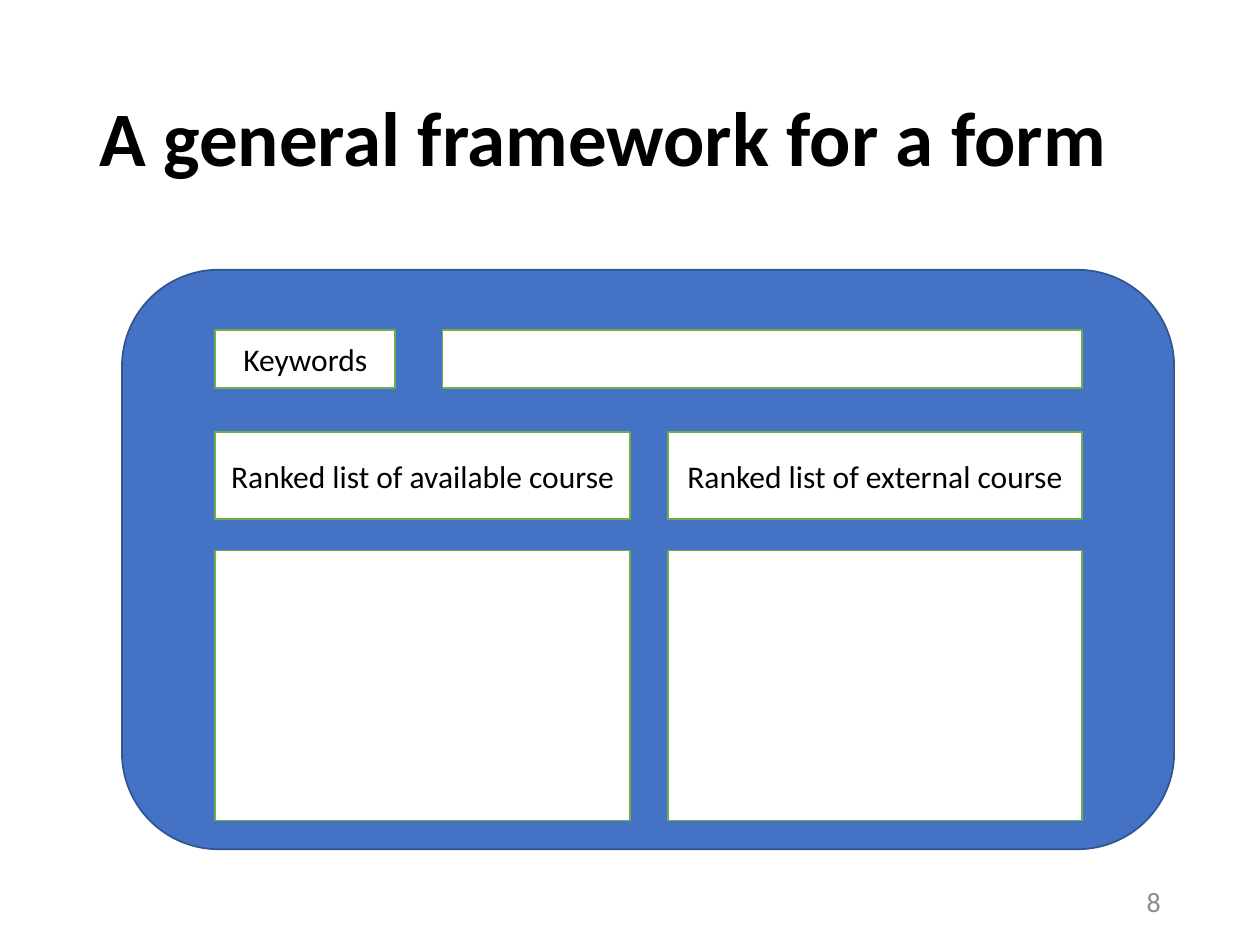
from pptx import Presentation
from pptx.dml.color import RGBColor
from pptx.enum.shapes import MSO_SHAPE
from pptx.enum.text import MSO_ANCHOR, MSO_AUTO_SIZE, PP_ALIGN
from pptx.util import Cm, Pt

RECTANGLE, ROUNDED = MSO_SHAPE.RECTANGLE, MSO_SHAPE.ROUNDED_RECTANGLE
MIDDLE = MSO_ANCHOR.MIDDLE
LEFT, CENTER, RIGHT = PP_ALIGN.LEFT, PP_ALIGN.CENTER, PP_ALIGN.RIGHT
NO_AUTOFIT = MSO_AUTO_SIZE.NONE
TITLE_ONLY = 5

FONT = "Calibri"
BLACK, WHITE, GREY = "000000", "FFFFFF", "8C8C8C"
BLUE, DARK_BLUE, GREEN = "4472C4", "325491", "70AD47"

# Form grid, in centimetres
FORM_LEFT, FORM_RIGHT = 4.34, 21.82
COLUMN_WIDTH = 8.36
COLUMNS = (FORM_LEFT, FORM_RIGHT - COLUMN_WIDTH)
KEYWORD_TOP, KEYWORD_HEIGHT, LABEL_WIDTH = 6.65, 1.17, 3.63
FIELD_LEFT = 8.92
HEADING_TOP, HEADING_HEIGHT = 8.71, 1.75
LIST_TOP, LIST_HEIGHT = 11.1, 5.44


def color(code):
    return RGBColor.from_string(code)


def write(box, text, size, code=BLACK, align=CENTER, bold=False):
    frame = box.text_frame
    frame.word_wrap = True
    frame.auto_size = NO_AUTOFIT
    frame.vertical_anchor = MIDDLE
    para = frame.paragraphs[0]
    para.alignment = align
    span = para.add_run()
    span.text = text
    span.font.name = FONT
    span.font.size = Pt(size)
    span.font.bold = bold
    span.font.color.rgb = color(code)
    return para


def add_title(page, text):
    title = page.shapes.title
    title.left, title.top = Cm(1.75), Cm(1.02)
    title.width, title.height = Cm(21.89), Cm(3.68)
    write(title, text, 44, align=LEFT, bold=True).line_spacing = 0.9


def add_page_number(page, text):
    box = page.shapes.add_textbox(Cm(17.93), Cm(17.65), Cm(5.72), Cm(1.02))
    write(box, text, 16, GREY, RIGHT)


def add_box(page, left, top, width, height, text="",
            kind=RECTANGLE, fill=WHITE, line=GREEN):
    box = page.shapes.add_shape(kind, Cm(left), Cm(top), Cm(width), Cm(height))
    box.shadow.inherit = False
    box.fill.solid()
    box.fill.fore_color.rgb = color(fill)
    box.line.color.rgb = color(line)
    box.line.width = Pt(1)
    if text:
        write(box, text, 18)


def main():
    deck = Presentation()
    deck.slide_width, deck.slide_height = Cm(25.4), Cm(19.05)
    page = deck.slides.add_slide(deck.slide_layouts[TITLE_ONLY])

    add_title(page, "A general framework for a form")
    add_page_number(page, "8")

    # Form panel
    add_box(page, 2.46, 5.44, 21.21, 11.68,
            kind=ROUNDED, fill=BLUE, line=DARK_BLUE)

    # Keyword label and its entry field
    add_box(page, FORM_LEFT, KEYWORD_TOP, LABEL_WIDTH, KEYWORD_HEIGHT, "Keywords")
    add_box(page, FIELD_LEFT, KEYWORD_TOP, FORM_RIGHT - FIELD_LEFT, KEYWORD_HEIGHT)

    # Two result columns: a heading above an empty list
    for left, source in zip(COLUMNS, ("available", "external")):
        add_box(page, left, HEADING_TOP, COLUMN_WIDTH, HEADING_HEIGHT,
                f"Ranked list of {source} course")
        add_box(page, left, LIST_TOP, COLUMN_WIDTH, LIST_HEIGHT)

    deck.save("out.pptx")


if __name__ == "__main__":
    main()
